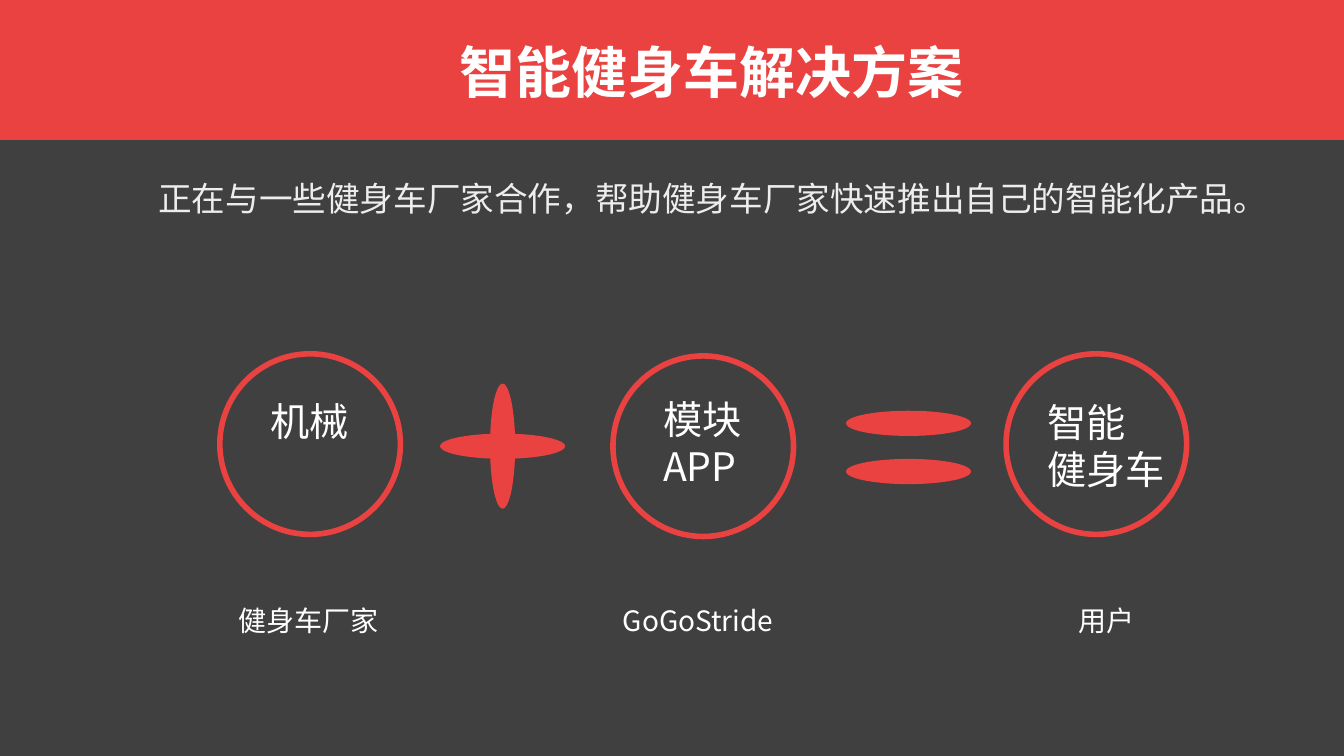
from lxml import etree
from pptx import Presentation
from pptx.dml.color import RGBColor
from pptx.enum.shapes import MSO_SHAPE as SHAPE
from pptx.enum.text import MSO_ANCHOR as ANCHOR, PP_ALIGN as ALIGN
from pptx.oxml.ns import qn
from pptx.util import Pt

FONT = "Noto Sans CJK SC"
COLORS = {"background": "404040", "red": "EA4241", "white": "FFFFFF", "pale": "EDEDED"}
RGB = {name: RGBColor.from_string(value) for name, value in COLORS.items()}


def write(sp, lines, size, color="white", bold=False, frame=None, para=None):
    """Fill a text frame, one paragraph per line, with Latin and East Asian fonts."""
    tf = sp.text_frame
    for name, value in (frame or {"word_wrap": False}).items():
        setattr(tf, name, value)
    for i, line in enumerate(lines):
        p = tf.paragraphs[0] if i == 0 else tf.add_paragraph()
        for name, value in (para or {}).items():
            setattr(p, name, value)
        r = p.add_run()
        r.text = line
        for name, value in {"name": FONT, "size": Pt(size), "bold": bold}.items():
            setattr(r.font, name, value)
        r.font.color.rgb = RGB[color]
        etree.SubElement(r.font._element, qn("a:ea"), typeface=FONT)


def add_red_shape(kind, left, top, width, height, outline=None):
    """Add a red shape, either filled or, with an outline width, hollow."""
    sp = s.shapes.add_shape(kind, Pt(left), Pt(top), Pt(width), Pt(height))
    sp.shadow.inherit = False
    if outline:
        sp.fill.background()
        sp.line.color.rgb = RGB["red"]
        sp.line.width = Pt(outline)
    else:
        sp.fill.solid()
        sp.fill.fore_color.rgb = RGB["red"]
        sp.line.fill.background()
    return sp


prs = Presentation()
prs.slide_width, prs.slide_height = Pt(960), Pt(540)
s = prs.slides.add_slide(prs.slide_layouts[5])
s.background.fill.solid()
s.background.fill.fore_color.rgb = RGB["background"]

# Heading band and summary sentence
centred = {
    "word_wrap": True, "vertical_anchor": ANCHOR.MIDDLE,
    "margin_left": Pt(9.4), "margin_right": Pt(9.4),
    "margin_top": Pt(5), "margin_bottom": Pt(5),
}
centred_para = {"alignment": ALIGN.CENTER, "line_spacing": 0.9}

summary = s.shapes.title
summary.left, summary.top, summary.width, summary.height = Pt(100), Pt(106), Pt(794), Pt(74)
write(summary, ["正在与一些健身车厂家合作，帮助健身车厂家快速推出自己的智能化产品。"], 24,
      color="pale", frame=centred, para=centred_para)

banner = add_red_shape(SHAPE.FOLDED_CORNER, 0, 0, 960, 100)
fold = banner._element.find(".//" + qn("a:avLst"))
etree.SubElement(fold, qn("a:gd"), name="adj", fmla="val 0")
heading = s.shapes.add_textbox(Pt(309.6), Pt(1.5), Pt(397), Pt(104.5))
write(heading, ["智能健身车解决方案"], 40, bold=True, frame=centred, para=centred_para)

# Three rings: label inside, caption below
RING, RING_LEFT, RING_STEP = 129, 157, 280.8
CAPTION_TOP = 427.7
rings = [
    (252.7, ["机械"], 185.8, 280, 71, "健身车厂家", 163.4, 115),
    (254.2, ["模块", "APP"], 466.6, 278.6, 71, "GoGoStride", 437.8, 129),
    (252.7, ["智能", "健身车"], 740.9, 280.8, 99, "用户", 763.2, 55),
]
for i, (top, label, x, y, width, caption, caption_x, caption_width) in enumerate(rings):
    add_red_shape(SHAPE.OVAL, RING_LEFT + i * RING_STEP, top, RING, RING, outline=4)
    box = s.shapes.add_textbox(Pt(x), Pt(y), Pt(width), Pt(41 if len(label) == 1 else 75))
    write(box, label, 28)
    box = s.shapes.add_textbox(Pt(caption_x), Pt(CAPTION_TOP), Pt(caption_width), Pt(31.5))
    write(box, [caption], 20)

# Plus and equals signs, each made of two ovals given by their centres
LONG, SHORT = 89.3, 18
for cx, cy, width, height in [
    (359, 318.7, SHORT, LONG), (359, 318.7, LONG, SHORT),
    (649, 302.4, LONG, SHORT), (649, 336.8, LONG, SHORT),
]:
    add_red_shape(SHAPE.OVAL, cx - width / 2, cy - height / 2, width, height)

prs.save("out.pptx")
